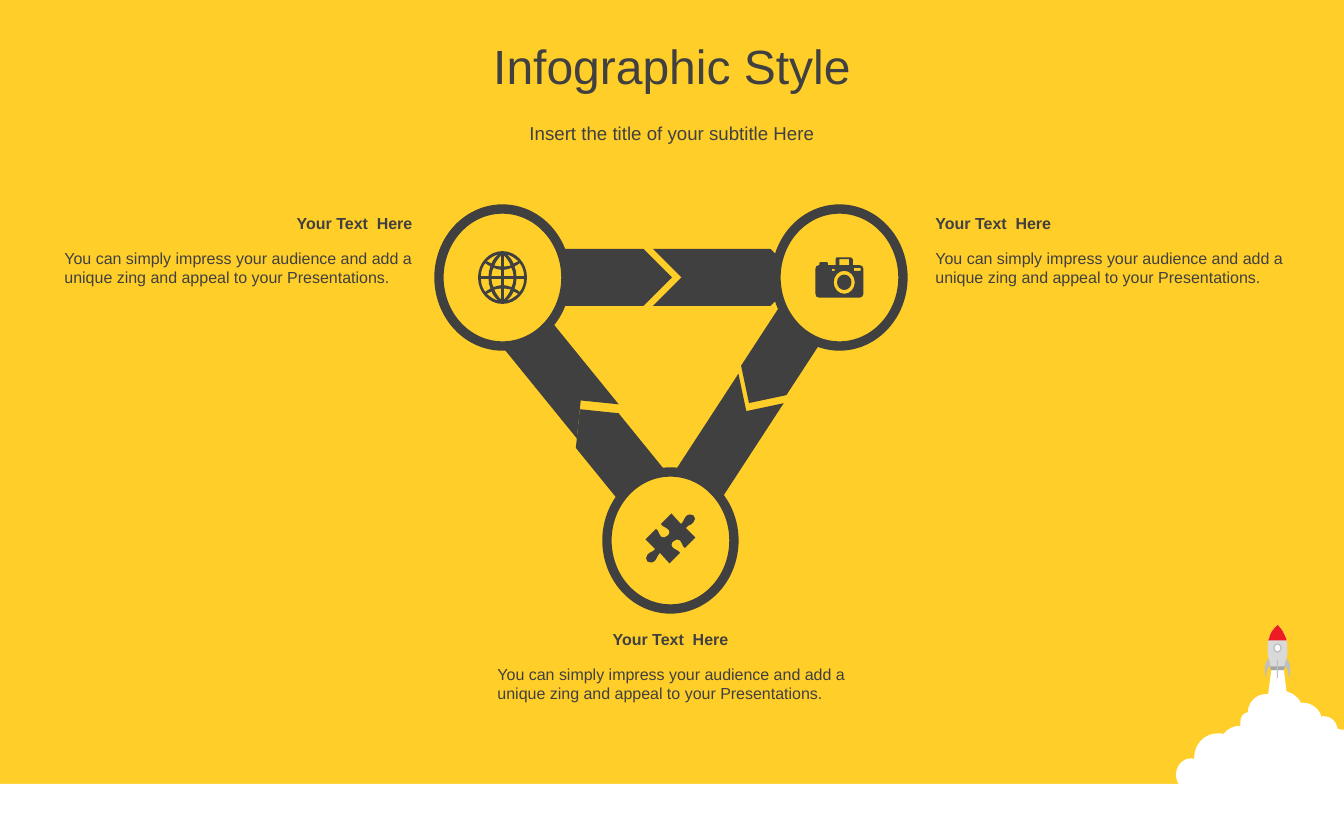
"""Builds a triangle infographic slide with three captioned icons and a rocket."""
from lxml import etree
from pptx import Presentation
from pptx import util as u
from pptx.dml.color import RGBColor
from pptx.enum import shapes, text
from pptx.oxml import ns

PIXEL = 9525
GRID = 9144
CURVE_STEPS = 8
ARC = 0.55
FONT = "Arial"
YELLOW = RGBColor(0xFF, 0xCE, 0x29)
CHARCOAL = RGBColor(0x40, 0x40, 0x40)
WHITE = RGBColor(0xFF, 0xFF, 0xFF)
SILVER = RGBColor(0xD9, 0xD9, 0xD9)
GREY = RGBColor(0xA6, 0xA6, 0xA6)
FIN_GREY = RGBColor(0xBF, 0xBF, 0xBF)
RED = RGBColor(0xED, 0x1C, 0x24)

GLOBE_QUARTER = [
    [(1.5, 1.5), (11.5, 1.5), (11.5, 4.5, 10.5, 7.5, 9.5, 10), (7, 9, 4.5, 8.5, 1.5, 8)],
    [(1.5, 11.5), (4, 11.5, 6.5, 12, 8.5, 12.5), (7, 16.5, 4.5, 20, 1.5, 23)],
    [(14.5, 1.5), (22.5, 1.5), (22.5, 6.5, 21, 11, 18, 15), (16, 13.5, 14.5, 12.5, 12.5, 11.5),
     (14, 8.5, 14.5, 5, 14.5, 1.5)],
    [(11.5, 14.5), (13.5, 15, 15, 16, 16.5, 17), (13, 20, 9, 23, 4.5, 24),
     (7.5, 21.5, 10, 18.5, 11.5, 14.5)],
]
PUZZLE_HALF = [
    (26, -22, 26, -19, 24, -17), (21, -13, 19, -15, 16, -11), (26, -1), (15, 10),
    (11, 7, 13, 4, 10, 2), (8, 0, 5, 1, 3, 3), (1, 4, 0, 8, 3, 10), (6, 13, 7, 11, 10, 15),
    (-1, 26), (-11, 15), (-15, 19, -13, 20, -16, 23), (-19, 26, -22, 25, -24, 24),
]
CAMERA_BODY = [
    (-3, -21), (12, -21), (13, -21, 14, -20, 14, -19), (14, -13), (21, -13),
    (23, -13, 25, -11, 25, -9), (25, 17), (25, 19, 23, 21, 21, 21), (-21, 21),
    (-24, 21, -25, 19, -25, 17), (-25, -9), (-25, -11, -24, -13, -21, -13), (-21, -15),
    (-21, -16, -20, -16, -20, -16), (-13, -16), (-12, -16, -12, -16, -12, -15), (-12, -13),
    (-4, -13), (-4, -19), (-4, -20, -3, -21, -3, -21),
]
SMOKE = [
    (100, 42), (112, 42), (115, 69), (117, 70), (122, 71, 126, 75, 129, 79), (130, 81),
    (132, 81), (140, 81, 148, 86, 151, 94), (151, 96), (152, 95), (154, 95),
    (161, 95, 167, 100, 168, 107), (168, 108), (172, 109), (175, 109), (175, 194),
    (83, 196), (25, 172), (24, 170), (22, 172, 19, 173, 15, 173), (7, 173, 0, 165, 0, 156),
    (0, 147, 7, 139, 15, 139), (16, 139, 18, 139, 19, 140), (19, 138),
    (19, 124, 30, 113, 43, 113), (48, 113), (49, 114), (50, 113), (54, 108, 60, 105, 67, 105),
    (67, 101), (67, 96, 70, 92, 74, 91), (75, 91), (75, 88), (77, 79, 84, 72, 94, 72), (96, 72),
]
HULL = [(99, 47), (96, 33, 90, 14, 106, 0), (121, 15, 116, 35, 112, 47)]
SKIRT = [(98, 43), (114, 43), (112, 47), (99, 47)]
NOSE = [(106, 0), (111, 5, 113, 10, 115, 15), (115, 16), (96, 16), (97, 14),
        (98, 9, 101, 4, 106, 0)]
LEFT_FIN = [(97, 35), (98, 42), (94, 46, 94, 53, 94, 56), (93, 52, 90, 40, 97, 35)]
RIGHT_FIN = [(115, 35), (113, 42), (118, 46, 117, 53, 118, 56), (119, 52, 121, 40, 115, 35)]


def px(*lengths):
    return [u.Emu(round(length * PIXEL)) for length in lengths]


def mirror(contour, x_sign, y_sign):
    return [tuple(v * (y_sign if i % 2 else x_sign) for i, v in enumerate(step))
            for step in contour]


def oval(cx, cy, rx, ry):
    x, y = rx * ARC, ry * ARC
    return [(cx + rx, cy), (cx + rx, cy + y, cx + x, cy + ry, cx, cy + ry),
            (cx - x, cy + ry, cx - rx, cy + y, cx - rx, cy),
            (cx - rx, cy - y, cx - x, cy - ry, cx, cy - ry),
            (cx + x, cy - ry, cx + rx, cy - y, cx + rx, cy)]


def block(left, top, right, bottom):
    return [(left, top), (right, top), (right, bottom), (left, bottom)]


def bounds(contour):
    points = []
    for step in contour:
        if len(step) == 2:
            points.append(step)
            continue
        (a, b), (c, d, e, f, g, h) = points[-1], step
        for i in range(1, CURVE_STEPS + 1):
            t = i / CURVE_STEPS
            s = 1 - t
            points.append(tuple(s ** 3 * p + 3 * s * s * t * q + 3 * s * t * t * r + t ** 3 * w
                                for p, q, r, w in ((a, c, e, g), (b, d, f, h))))
    xs, ys = zip(*points)
    return min(xs), min(ys), max(xs), max(ys)


def paint(shape, fill, line=None, width=0):
    shape.shadow.inherit = False
    shape.fill.solid()
    shape.fill.fore_color.rgb = fill
    if line is None:
        shape.line.fill.background()
    else:
        shape.line.color.rgb = line
        shape.line.width = u.Pt(width)


def add_preset(page, kind, box, fill, line=None, width=0):
    shape = page.shapes.add_shape(kind, *px(*box))
    paint(shape, fill, line, width)
    return shape


def add_outline(page, origin, contours, fill):
    box = bounds(contours[0])
    corners = [(x * GRID, y * GRID) for x, y in block(*box)]
    builder = page.shapes.build_freeform(*corners[0], scale=1.0)
    builder.add_line_segments(corners[1:], close=True)
    shape = builder.convert_to_shape(*px(*origin))
    route = next(shape.element.iter(ns.qn("a:path")))
    for child in list(route):
        route.remove(child)
    for contour in contours:
        for i, step in enumerate(contour):
            kind = "moveTo" if i == 0 else "lnTo" if len(step) == 2 else "cubicBezTo"
            segment = etree.SubElement(route, ns.qn("a:" + kind))
            for x, y in zip(step[::2], step[1::2]):
                etree.SubElement(segment, ns.qn("a:pt"), x=str(round((x - box[0]) * GRID)),
                                 y=str(round((y - box[1]) * GRID)))
        etree.SubElement(route, ns.qn("a:close"))
    paint(shape, fill)


def write(frame, words, size, align, bold=False, before=0):
    frame.word_wrap = True
    frame.auto_size = text.MSO_AUTO_SIZE.NONE
    para = frame.paragraphs[0]
    para.alignment = align
    para.space_before = u.Pt(before)
    span = para.add_run()
    span.text = words
    span.font.name, span.font.size, span.font.bold = FONT, u.Pt(size), bold
    span.font.color.rgb = CHARCOAL


def add_heading(holder, box, words, size, before):
    holder.left, holder.top, holder.width, holder.height = px(*box)
    holder.text_frame.vertical_anchor = text.MSO_ANCHOR.MIDDLE
    write(holder.text_frame, words, size, text.PP_ALIGN.CENTER, before=before)


def add_link(page, plate_box, chevron_box, angle):
    kinds = shapes.MSO_SHAPE.PENTAGON, shapes.MSO_SHAPE.CHEVRON
    for kind, box in zip(kinds, (plate_box, chevron_box)):
        arrow = add_preset(page, kind, box, CHARCOAL)
        arrow.adjustments[0] = 0.5
        arrow.rotation = angle


def add_medallion(page, box, icon, lift):
    left, top, width, height = box
    add_preset(page, shapes.MSO_SHAPE.OVAL, box, YELLOW, CHARCOAL, 7)
    add_outline(page, (left + width / 2, top + height / 2 - lift), icon, CHARCOAL)


def add_caption(page, box, align, indent):
    left, top, width = box
    title = page.shapes.add_textbox(*px(left, top, width, 29))
    write(title.text_frame, "Your Text  Here", 12, align, bold=True)
    body = page.shapes.add_textbox(*px(left + indent, top + 35, width, 48))
    write(body.text_frame, "You can simply impress your audience and add a unique zing "
          "and appeal to your Presentations.", 12, text.PP_ALIGN.LEFT)


def add_rocket(page, origin):
    left, top = origin
    for contour, fill in ((SMOKE, WHITE), (HULL, SILVER), (SKIRT, GREY), (NOSE, RED),
                          (LEFT_FIN, FIN_GREY), (RIGHT_FIN, FIN_GREY)):
        add_outline(page, origin, [contour], fill)
    add_preset(page, shapes.MSO_SHAPE.OVAL, (left + 98, top + 19, 7, 8), WHITE, FIN_GREY, 1)
    add_preset(page, shapes.MSO_SHAPE.RECTANGLE, (left + 101, top + 35, 1, 18), FIN_GREY)


deck = Presentation()
deck.slide_width, deck.slide_height = px(1344, 816)
page = deck.slides.add_slide(deck.slide_layouts[0])
page.background.fill.solid()
page.background.fill.fore_color.rgb = YELLOW

add_preset(page, shapes.MSO_SHAPE.RECTANGLE, (0, 784, 1344, 32), WHITE)
add_rocket(page, (1176, 625))
add_heading(page.shapes.title, (0, 20, 1344, 91), "Infographic Style", 36, 7.2)
add_heading(page.placeholders[1], (0, 110, 1344, 46),
            "Insert the title of your subtitle Here", 14, 2.8)

add_link(page, (554, 436, 140, 55), (473, 335, 153, 54), 230.9)
add_link(page, (717, 317, 141, 54), (642, 426, 154, 54), 123.1)
add_link(page, (539, 249, 133, 57), (653, 249, 146, 57), 0)

globe = [oval(0, 0, 25.5, 27.5)] + [mirror(cell, x, y) for cell in GLOBE_QUARTER
                                    for x in (1, -1) for y in (1, -1)]
puzzle = [[(24, -24)] + PUZZLE_HALF + mirror(PUZZLE_HALF, -1, -1)]
camera = [CAMERA_BODY, oval(5, 5, 11, 12), oval(5, 5, 7.5, 8), block(-8, -9, -5, -7),
          block(15, -10, 22, -7), block(0, -19, 10, -13)]
for corner, icon, lift in (((439, 209), globe, 0), ((607, 472), puzzle, 2),
                           ((776, 209), camera, 0)):
    add_medallion(page, (*corner, 127, 137), icon, lift)

add_caption(page, (480, 625, 381), text.PP_ALIGN.CENTER, 8)
add_caption(page, (926, 209, 381), text.PP_ALIGN.LEFT, 0)
add_caption(page, (41, 209, 381), text.PP_ALIGN.RIGHT, 14)
deck.save("out.pptx")
